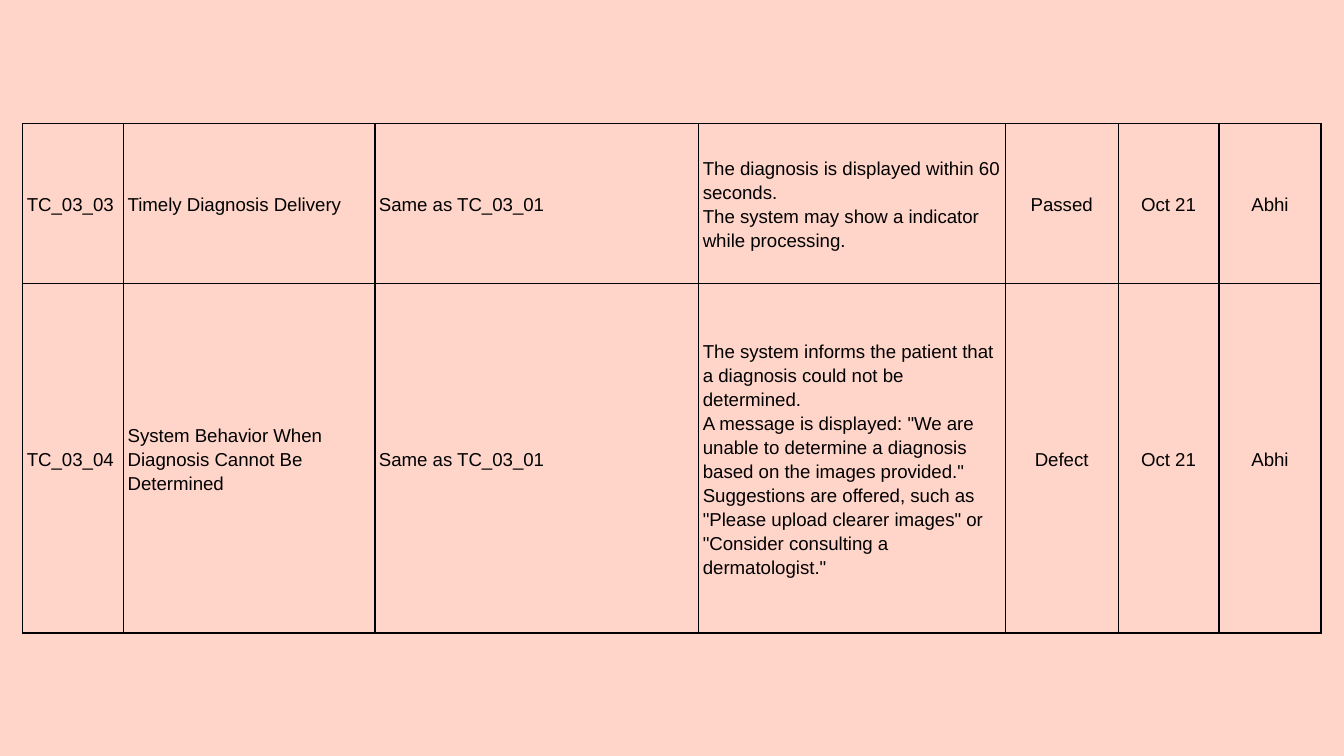
from dataclasses import dataclass

from lxml.etree import SubElement
from pptx import Presentation
from pptx.dml.color import RGBColor
from pptx.enum.text import MSO_ANCHOR, PP_ALIGN
from pptx.oxml.ns import qn
from pptx.slide import Slide
from pptx.table import _Cell as Cell
from pptx.util import Inches, Pt

PEACH = RGBColor(0xFF, 0xD5, 0xCA)
BLACK = RGBColor(0x00, 0x00, 0x00)
FONT = "Arial"
PAGE_WIDTH = 10
PAGE_HEIGHT = PAGE_WIDTH * 9 / 16
COLUMN_WIDTHS = [0.75, 1.87, 2.41, 2.28, 0.84, 0.75, 0.76]
FIRST_CENTERED_COLUMN = 4


@dataclass
class TestCase:
    number: str
    title: str
    steps: str
    expected: list[str]
    result: str
    date: str
    tester: str
    height: float

    def columns(self) -> list[list[str]]:
        """Return the paragraphs of each cell, from left to right."""
        return [[self.number], [self.title], [self.steps], self.expected,
                [self.result], [self.date], [self.tester]]


TEST_CASES = [
    TestCase("TC_03_03", "Timely Diagnosis Delivery", "Same as TC_03_01",
             ["The diagnosis is displayed within 60 seconds.",
              "The system may show a indicator while processing."],
             "Passed", "Oct 21", "Abhi", height=1.19),
    TestCase("TC_03_04", "System Behavior When Diagnosis Cannot Be Determined",
             "Same as TC_03_01",
             ["The system informs the patient that a diagnosis could not be determined.",
              'A message is displayed: "We are unable to determine a diagnosis '
              'based on the images provided."',
              'Suggestions are offered, such as "Please upload clearer images" '
              'or "Consider consulting a dermatologist."'],
             "Defect", "Oct 21", "Abhi", height=2.6),
]


def add_borders(cell: Cell, color: RGBColor = BLACK, width: float = 0.75) -> None:
    properties = cell._tc.get_or_add_tcPr()
    for side in ("lnL", "lnR", "lnT", "lnB"):
        line = SubElement(properties, qn(f"a:{side}"), w=str(Pt(width)))
        fill = SubElement(line, qn("a:solidFill"))
        SubElement(fill, qn("a:srgbClr"), val=str(color))


def write_cell(cell: Cell, lines: list[str], *, align: PP_ALIGN = PP_ALIGN.LEFT,
               size: float = 10, color: RGBColor = BLACK) -> None:
    cell.vertical_anchor = MSO_ANCHOR.MIDDLE
    cell.margin_left = cell.margin_right = Inches(0.03)
    cell.margin_top = cell.margin_bottom = Inches(0.02)
    frame = cell.text_frame
    for index, line in enumerate(lines):
        para = frame.add_paragraph() if index else frame.paragraphs[0]
        para.alignment = align
        para.line_spacing = 1.15
        span = para.add_run()
        span.text = line
        span.font.name = FONT
        span.font.size = Pt(size)
        span.font.color.rgb = color


def add_test_table(page: Slide, cases: list[TestCase]) -> None:
    table = page.shapes.add_table(
        len(cases), len(COLUMN_WIDTHS), Inches(0.17), Inches(0.92),
        Inches(sum(COLUMN_WIDTHS)), Inches(sum(case.height for case in cases))).table
    table.first_row = table.horz_banding = False
    for column, width in zip(table.columns, COLUMN_WIDTHS):
        column.width = Inches(width)
    for row, case in zip(table.rows, cases):
        row.height = Inches(case.height)
        for index, (cell, lines) in enumerate(zip(row.cells, case.columns())):
            centered = index >= FIRST_CENTERED_COLUMN
            write_cell(cell, lines, align=PP_ALIGN.CENTER if centered else PP_ALIGN.LEFT)
            add_borders(cell)
            cell.fill.background()


def main() -> None:
    deck = Presentation()
    deck.slide_width, deck.slide_height = Inches(PAGE_WIDTH), Inches(PAGE_HEIGHT)
    page = deck.slides.add_slide(deck.slide_layouts[6])
    page.background.fill.solid()
    page.background.fill.fore_color.rgb = PEACH
    add_test_table(page, TEST_CASES)
    deck.save("out.pptx")


if __name__ == "__main__":
    main()
